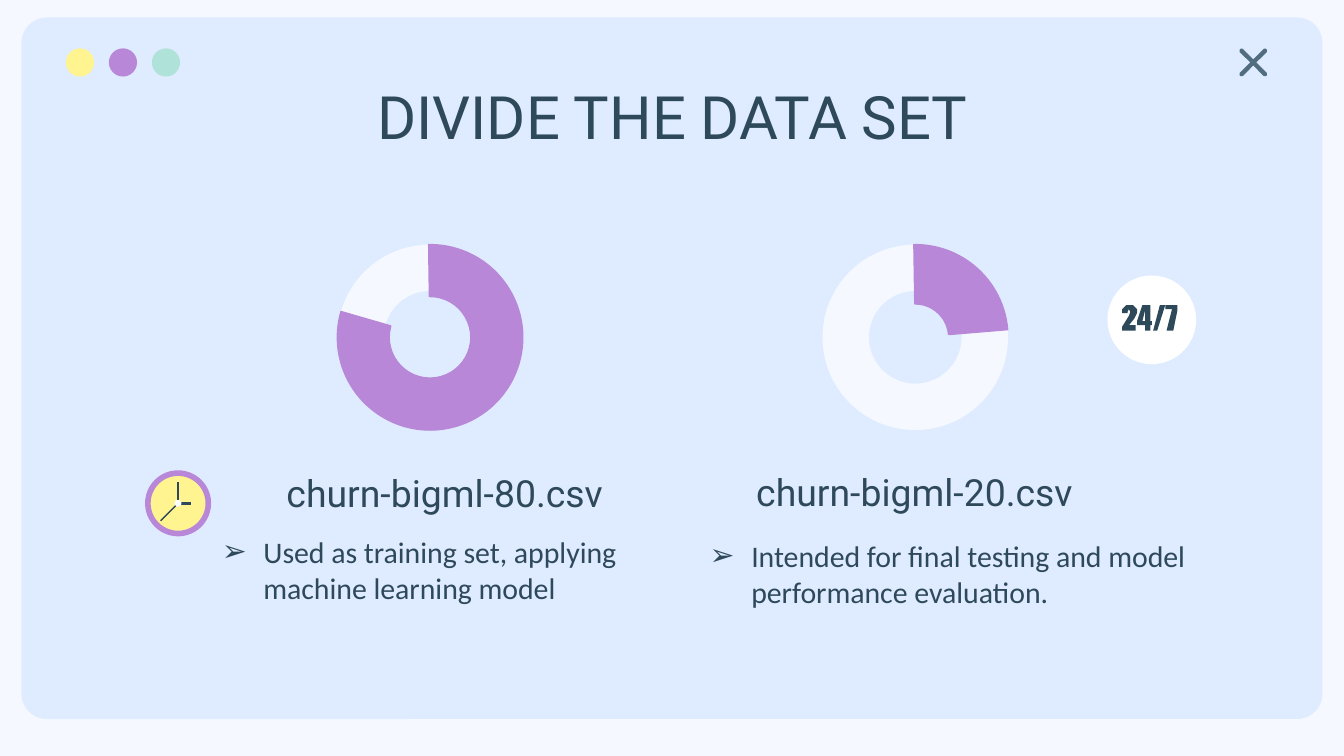
from lxml.etree import SubElement
from pptx import Presentation
from pptx.dml.color import RGBColor
from pptx.enum.shapes import MSO_CONNECTOR, MSO_SHAPE
from pptx.enum.text import MSO_ANCHOR, MSO_AUTO_SIZE, PP_ALIGN
from pptx.oxml.ns import qn
from pptx.util import Inches, Pt

COLORS = {
    "page": "F5F9FF", "window": "DFECFF", "yellow": "FFF48F", "purple": "B887D8",
    "mint": "AFE2D8", "close": "516D7F", "ink": "2E495A", "white": "FFFFFF",
}

GLYPHS = [
    [[(0.11, 0.28), (0.11, 0.25), (0.14, 0.22), (0.19, 0.22), (0.22, 0.25), (0.22, 0.28),
      (0.2, 0.32), (0.16, 0.37), (0.21, 0.37), (0.21, 0.41), (0.11, 0.41), (0.11, 0.38),
      (0.16, 0.3), (0.17, 0.27), (0.16, 0.25), (0.15, 0.27), (0.15, 0.28)]],
    [[(0.26, 0.22), (0.22, 0.34), (0.22, 0.37), (0.28, 0.37), (0.28, 0.41), (0.32, 0.41),
      (0.32, 0.37), (0.33, 0.37), (0.33, 0.34), (0.32, 0.34), (0.32, 0.22)],
     [(0.28, 0.26), (0.28, 0.34), (0.26, 0.34)]],
    [[(0.39, 0.22), (0.34, 0.41), (0.37, 0.41), (0.43, 0.22)]],
    [[(0.43, 0.22), (0.43, 0.25), (0.48, 0.25), (0.44, 0.41), (0.49, 0.41),
      (0.52, 0.26), (0.52, 0.22)]],
]


def color(name):
    return RGBColor.from_string(COLORS[name])


def paint(shape, fill=None, line=None, width=0):
    shape.shadow.inherit = False
    if fill:
        shape.fill.solid()
        shape.fill.fore_color.rgb = color(fill)
    else:
        shape.fill.background()
    if line:
        shape.line.color.rgb = color(line)
        shape.line.width = Pt(width)
    else:
        shape.line.fill.background()


def add_preset(page, kind, left, top, width, height, fill, line=None, line_width=0, adjust=()):
    shape = page.shapes.add_shape(
        kind, Inches(left), Inches(top), Inches(width), Inches(height))
    for index, value in enumerate(adjust):
        shape.adjustments[index] = value
    paint(shape, fill, line, line_width)


def add_outline(page, left, top, contours, closed=True):
    placed = [[(Inches(left + x), Inches(top + y)) for x, y in contour]
              for contour in contours]
    builder = page.shapes.build_freeform(*placed[0][0])
    builder.add_line_segments(placed[0][1:], close=closed)
    for contour in placed[1:]:
        builder.move_to(*contour[0])
        builder.add_line_segments(contour[1:], close=closed)
    return builder.convert_to_shape()


def add_window(page, left, top, width, height):
    add_preset(page, MSO_SHAPE.ROUNDED_RECTANGLE, left, top, width, height,
               "window", adjust=[0.036])
    for index, fill in enumerate(("yellow", "purple", "mint")):
        add_preset(page, MSO_SHAPE.OVAL, left + 0.33 + index * 0.32, top + 0.23,
                   0.21, 0.21, fill)
    add_preset(page, MSO_SHAPE.MATH_MULTIPLY, left + width - 0.69, top + 0.16,
               0.35, 0.35, "close", "close", 1.5, [0.031])


def fill_placeholder(page, index, box, text, size, font, anchor, bullet=False):
    holder = page.placeholders[index]
    page.shapes._spTree.append(holder._element)
    holder.left, holder.top, holder.width, holder.height = map(Inches, box)
    frame = holder.text_frame
    frame.text = text
    frame.word_wrap = True
    frame.auto_size = MSO_AUTO_SIZE.NONE
    frame.vertical_anchor = anchor
    frame.margin_left = frame.margin_right = Inches(0.1)
    frame.margin_top = frame.margin_bottom = Inches(0.1)
    para = frame.paragraphs[0]
    para.space_before = Pt(0)
    if bullet:
        para.alignment = PP_ALIGN.LEFT
        props = para._p.get_or_add_pPr()
        props.set("marL", str(Inches(0.31)))
        props.set("indent", str(-Inches(0.31)))
        SubElement(SubElement(props, qn("a:buClr")), qn("a:srgbClr")).set("val", COLORS["ink"])
        SubElement(props, qn("a:buFont")).set("typeface", "Arial")
        SubElement(props, qn("a:buChar")).set("char", "➢")
    else:
        para.alignment = PP_ALIGN.CENTER
    para.font.name = font
    para.font.size = Pt(size)
    para.font.bold = False
    para.font.color.rgb = color("ink")


def add_ring(page, left, top, size, end_degrees, thickness):
    add_preset(page, MSO_SHAPE.DONUT, left, top, size, size, "page", adjust=[0.25])
    start, end = (degrees * 0.6 for degrees in (269.14, end_degrees))
    add_preset(page, MSO_SHAPE.BLOCK_ARC, left, top, size, size, "purple", "purple", 0.75,
               [start, end, thickness])


def add_badge(page, left, top, size):
    add_preset(page, MSO_SHAPE.OVAL, left, top, size, size, "white")
    for glyph in GLYPHS:
        paint(add_outline(page, left, top, glyph), "ink")


def add_clock(page, left, top, size):
    middle = size / 2
    add_preset(page, MSO_SHAPE.OVAL, left, top, size, size, "yellow", "purple", 3)
    hands = [(middle, 0.07), (middle, middle), (middle + 0.1, middle)]
    paint(add_outline(page, left, top, [hands], closed=False), None, "ink", 1.5)
    x, y = left + middle, top + middle
    second_hand = page.shapes.add_connector(
        MSO_CONNECTOR.STRAIGHT, Inches(x), Inches(y), Inches(x - 0.13), Inches(y + 0.13))
    second_hand.line.color.rgb = color("ink")
    second_hand.line.width = Pt(0.78)
    SubElement(second_hand._element.spPr, qn("a:effectLst"))
    add_preset(page, MSO_SHAPE.OVAL, x - 0.02, y - 0.02, 0.04, 0.04, "white", "white", 0.75)


def main():
    deck = Presentation()
    deck.slide_width = Inches(10)
    deck.slide_height = deck.slide_width * 9 // 16
    page = deck.slides.add_slide(deck.slide_layouts.get_by_name("Comparison"))
    page.background.fill.solid()
    page.background.fill.fore_color.rgb = color("page")

    add_window(page, 0.16, 0.13, 9.68, 5.22)
    fill_placeholder(page, 0, (0.79, 0.49, 8.43, 0.63), "DIVIDE THE DATA SET",
                     32, "Roboto", MSO_ANCHOR.TOP)
    headings = [
        (1, (1.26, 3.35, 4.1, 0.63), "churn-bigml-80.csv"),
        (3, (4.67, 3.34, 4.27, 0.63), "churn-bigml-20.csv"),
    ]
    for index, box, text in headings:
        fill_placeholder(page, index, box, text, 20, "Roboto", MSO_ANCHOR.MIDDLE)
    purposes = [
        (2, (1.55, 3.87, 3.41, 0.91),
         "Used as training set, applying machine learning model"),
        (4, (5.18, 3.9, 4.15, 1.34),
         "Intended for final testing and model performance evaluation."),
    ]
    for index, box, text in purposes:
        fill_placeholder(page, index, box, text, 16, "Calibri", MSO_ANCHOR.TOP, bullet=True)

    add_ring(page, 2.51, 1.82, 1.38, 196.18, 0.28)
    add_ring(page, 6.12, 1.82, 1.38, 355.26, 0.32)
    add_badge(page, 8.24, 2.05, 0.66)
    add_clock(page, 1.1, 3.52, 0.45)
    deck.save("out.pptx")


if __name__ == "__main__":
    main()
